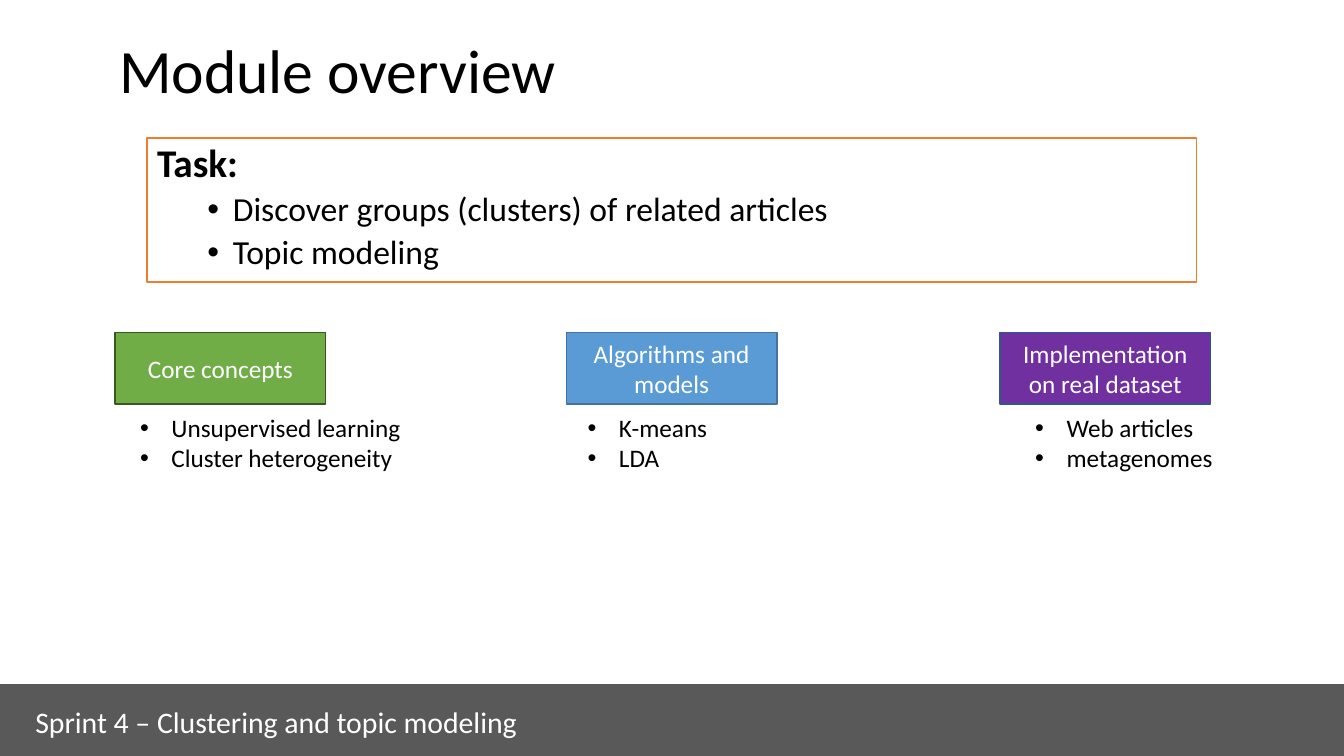
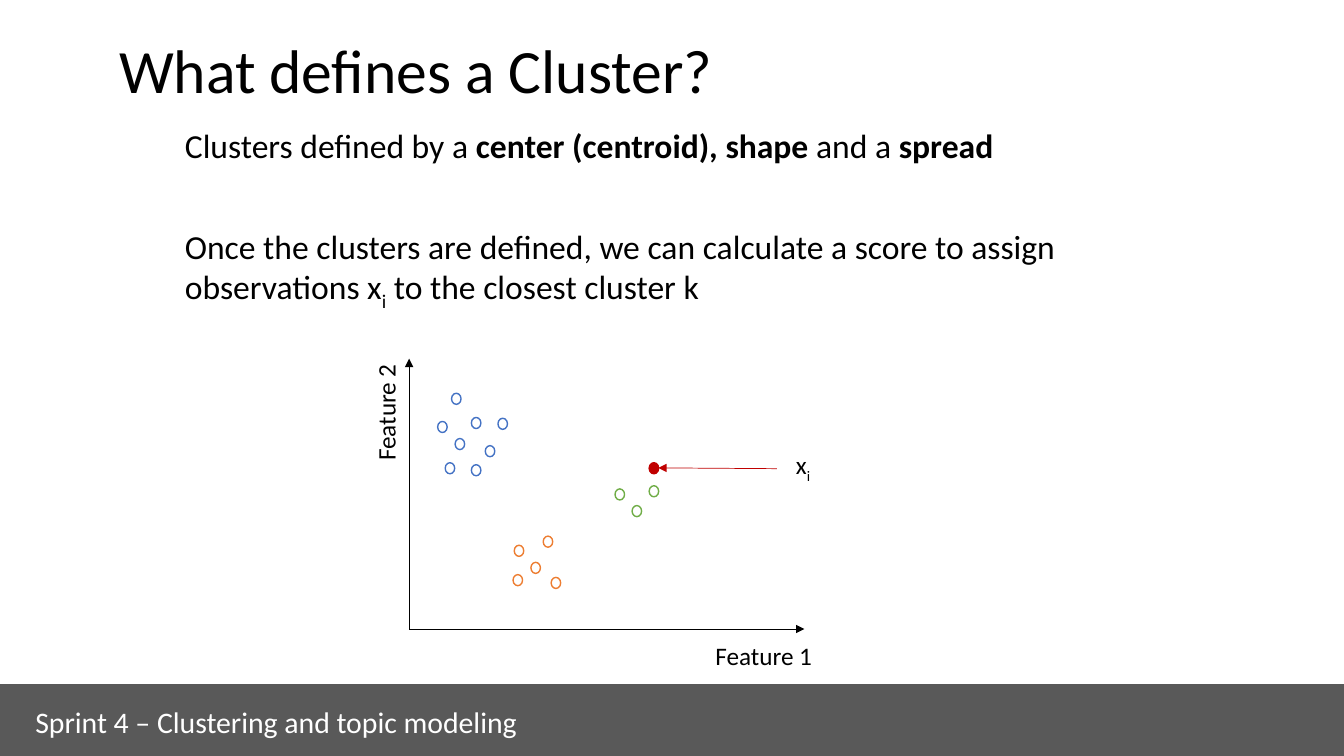
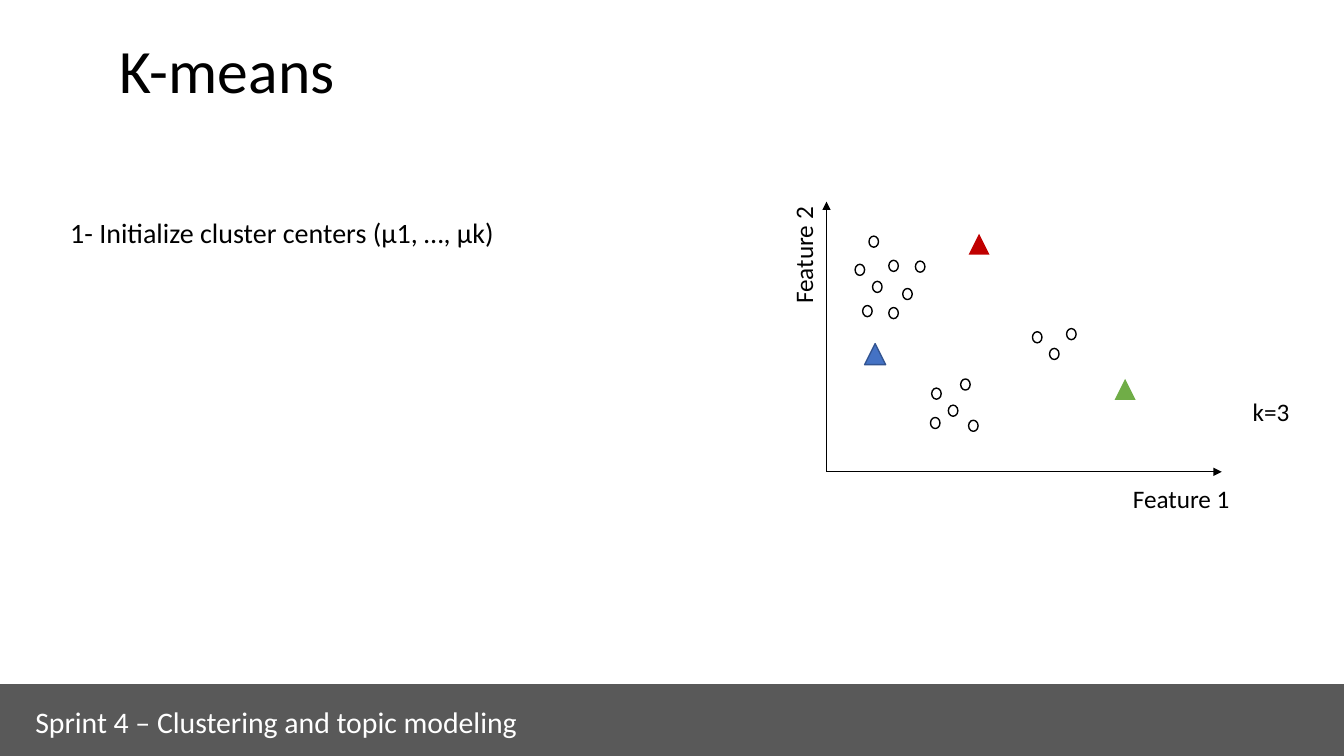
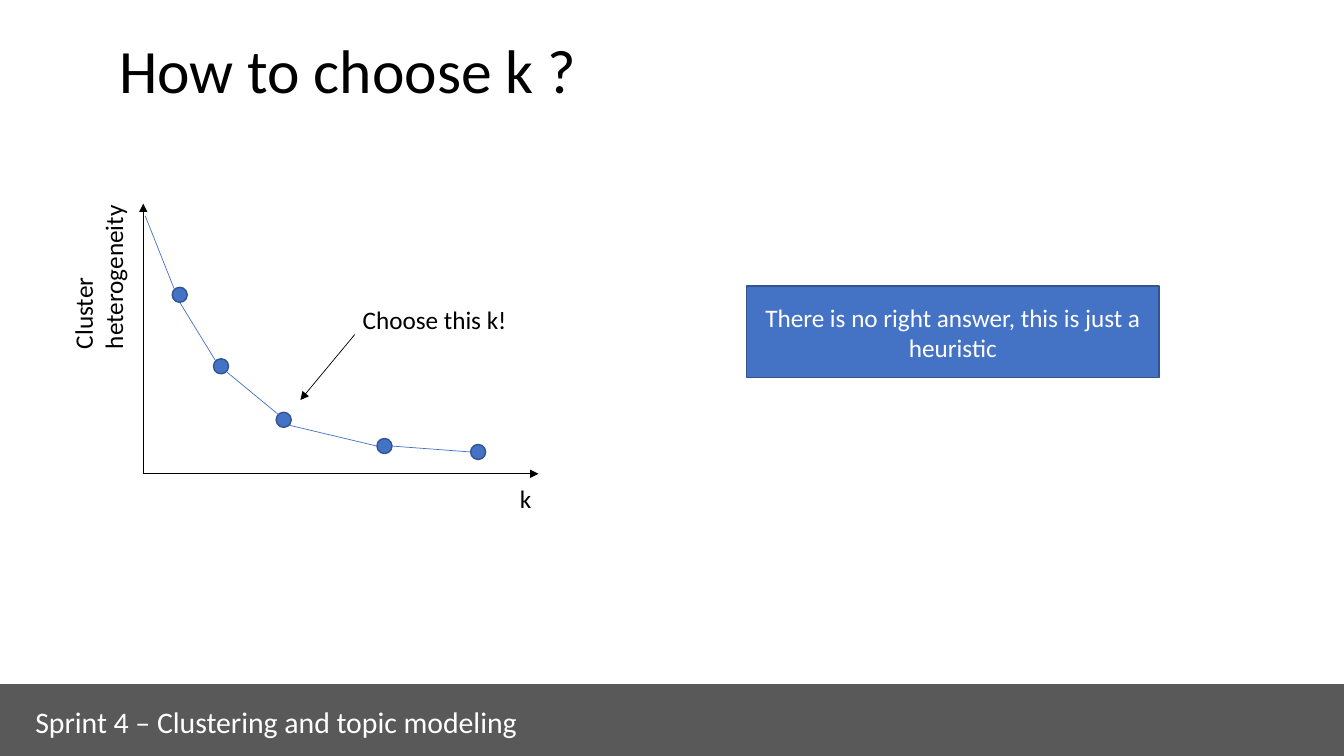
from pptx import Presentation
from pptx.dml.color import RGBColor
from pptx.enum.shapes import MSO_CONNECTOR, MSO_SHAPE
from pptx.enum.text import MSO_ANCHOR, PP_ALIGN
from pptx.oxml.ns import qn
from pptx.util import Cm, Pt
from lxml.etree import SubElement

FONT = "Calibri"
COLORS = {
    "black": "000000", "white": "FFFFFF", "gray": "595959", "blue": "4472C4",
    "navy": "325491", "orange": "ED7D31", "green": "70AD47", "moss": "385723",
    "sky": "5B9BD5", "steel": "43739E", "purple": "7030A0", "red": "C00000",
}
FOOTER = "Sprint 4 – Clustering and topic modeling"

TASK = [
    {"spans": "Task:", "size": 28, "bold": True},
    {"spans": "Discover groups (clusters) of related articles", "bullet": (1.91, 0.64), "before": 5},
    {"spans": "Topic modeling", "bullet": (1.91, 0.64), "before": 5},
]
TOPICS = [
    ("Core concepts", 2.9, "green", "moss", ["Unsupervised learning", "Cluster heterogeneity"]),
    ("Algorithms and models", 14.27, "sky", "steel", ["K-means", "LDA"]),
    ("Implementation on real dataset", 25.2, "purple", "navy", ["Web articles", "metagenomes"]),
]
DEFINITION = [
    [("Clusters defined by a ", ""), ("center (centroid), shape", "bold"),
     (" and a ", ""), ("spread", "bold")],
    {"spans": [("Once the clusters are defined, we can calculate a score to assign observations x", ""),
               ("i", "sub"), (" to the closest cluster k", "")], "before": 46},
]
CLUSTERS = {
    "blue": [(0.72, 5.23), (1.16, 4.8), (1.57, 5.33), (0.91, 4.19),
             (1.92, 4.62), (1.07, 5.94), (1.57, 4.14), (2.24, 5.31)],
    "orange": [(2.65, 2.11), (3.07, 1.68), (3.38, 2.34), (2.62, 1.37), (3.58, 1.3)],
    "green": [(5.19, 3.53), (5.62, 3.11), (6.05, 3.61)],
}
CENTERS = [(24.41, 5.89, "red", None), (21.79, 8.66, "blue", "navy"), (28.09, 9.55, "green", None)]
CURVE_START = (3.66, 5.44)
CURVE = [(4.34, 7.24), (5.38, 9.04), (6.96, 10.39), (9.5, 11.05), (11.86, 11.2)]
CURVE_SIZE = 0.38
SITES = {"top left": (0.15, 0.15), "bottom": (0.5, 1), "bottom right": (0.85, 0.85),
         "left": (0, 0.5), "right": (1, 0.5)}
ENTRIES = ["top left", "top left", "top left", "left", "left"]
EXITS = ["bottom", "bottom right", "bottom right", "right"]

AXIS_HEIGHT, AXIS_WIDTH = 6.81, 9.96
DOT_WIDTH, DOT_HEIGHT = 0.24, 0.28


def rgb(name):
    return RGBColor.from_string(COLORS[name])


def add_figure(page, kind, at, fill=None, line=None):
    figure = page.shapes.add_shape(kind, *map(Cm, at))
    figure.shadow.inherit = False
    if fill:
        figure.fill.solid()
        figure.fill.fore_color.rgb = rgb(fill)
    else:
        figure.fill.background()
    if line:
        figure.line.color.rgb = rgb(line)
        figure.line.width = Pt(1)
    else:
        figure.line.fill.background()
    return figure


def set_bullet(para, margin, hanging):
    properties = para._p.get_or_add_pPr()
    properties.set("marL", str(Cm(margin)))
    properties.set("indent", str(-Cm(hanging)))
    SubElement(properties, qn("a:buFont")).set("typeface", "Arial")
    SubElement(properties, qn("a:buChar")).set("char", "•")


def add_text(page, content, at, fill=None, line=None, anchor=MSO_ANCHOR.TOP,
             inset=0.13, turn=0, **style):
    if fill or line:
        box = add_figure(page, MSO_SHAPE.RECTANGLE, at, fill, line)
    else:
        box = page.shapes.add_textbox(*map(Cm, at))
    box.rotation = turn
    frame = box.text_frame
    frame.word_wrap = True
    frame.vertical_anchor = anchor
    frame.margin_top = Cm(inset)
    base = {"size": 18, "color": "black", "bold": False, "align": PP_ALIGN.LEFT,
            "spacing": 1.0, "before": 0, "bullet": None} | style
    for index, item in enumerate([content] if isinstance(content, str) else content):
        look = base | (item if isinstance(item, dict) else {"spans": item})
        para = frame.add_paragraph() if index else frame.paragraphs[0]
        para.alignment = look["align"]
        para.line_spacing = look["spacing"]
        para.space_before = Pt(look["before"] if index else 0)
        if look["bullet"]:
            set_bullet(para, *look["bullet"])
        spans = look["spans"]
        for words, mark in [(spans, "")] if isinstance(spans, str) else spans:
            span = para.add_run()
            span.text = words
            span.font.name = FONT
            span.font.size = Pt(look["size"])
            span.font.bold = look["bold"] or mark == "bold"
            span.font.color.rgb = rgb(look["color"])
            if mark == "sub":
                span._r.get_or_add_rPr().set("baseline", "-25000")
    return box


def add_line(page, start, end, color="black", arrow=True):
    line = page.shapes.add_connector(MSO_CONNECTOR.STRAIGHT, *map(Cm, (*start, *end)))
    line.line.color.rgb = rgb(color)
    line.line.width = Pt(0.5)
    if arrow:
        SubElement(line.line._get_or_add_ln(), qn("a:tailEnd")).set("type", "triangle")
    SubElement(line._element.spPr, qn("a:effectLst"))


def add_page(deck, title):
    page = deck.slides.add_slide(deck.slide_layouts[6])
    add_text(page, title, (2.75, 0, 29.21, 3.68), size=44, spacing=0.9, anchor=MSO_ANCHOR.MIDDLE)
    add_figure(page, MSO_SHAPE.RECTANGLE, (-0.04, 17.26, 33.91, 1.78), "gray", "gray")
    add_text(page, FOOTER, (0.64, 17.6, 13.54, 1.17), size=21.3, color="white")
    return page


def add_label_box(page, words, at, fill, line):
    add_text(page, words, at, fill, line, color="white",
             align=PP_ALIGN.CENTER, anchor=MSO_ANCHOR.MIDDLE)


def add_axes(page, left, bottom):
    add_line(page, (left, bottom), (left, bottom - AXIS_HEIGHT))
    add_line(page, (left, bottom), (left + AXIS_WIDTH, bottom))


def add_dot(page, left, top, fill, line):
    add_figure(page, MSO_SHAPE.OVAL, (left, top, DOT_WIDTH, DOT_HEIGHT), fill, line)


def add_scatter(page, left, bottom, colored):
    add_axes(page, left, bottom)
    for color, dots in CLUSTERS.items():
        for across, up in dots:
            add_dot(page, left + across, bottom - up,
                    "white" if colored else None, color if colored else "black")
    add_text(page, "Feature 1", (left + 7.47, bottom + 0.15, 3.35, 1.02))
    add_text(page, "Feature 2", (left - 2.27, bottom - 6.17, 3.35, 1.02), turn=270)


def build_overview(deck):
    page = add_page(deck, "Module overview")
    add_text(page, TASK, (3.71, 3.48, 26.44, 3.63), "white", "orange",
             size=24, spacing=0.9)
    for index, (name, left, fill, line, points) in enumerate(TOPICS):
        add_label_box(page, name, (left, 8.38, 5.31, 1.8), fill, line)
        add_text(page, points, (3.28 + 11.28 * index, 10.26, 8.04, 1.8), bullet=(0.79, 0.79))


def build_definition(deck):
    page = add_page(deck, "What defines a Cluster?")
    add_text(page, DEFINITION, (4.41, 3.14, 26.44, 5.28), size=24, spacing=0.9)
    add_scatter(page, 10.31, 15.85, colored=True)
    add_dot(page, 16.36, 11.66, "red", "red")
    add_line(page, (19.58, 11.81), (16.59, 11.79), "red")
    add_text(page, [[("x", ""), ("i", "sub")]], (19.81, 11.2, 1.73, 1.02))


def build_kmeans(deck):
    page = add_page(deck, "K-means")
    add_text(page, "1- Initialize cluster centers (μ1, …, μk)", (1.52, 3.86, 16.76, 9.75),
             size=20, spacing=0.9, inset=1.66)
    add_scatter(page, 20.83, 11.89, colored=False)
    for left, top, fill, line in CENTERS:
        add_figure(page, MSO_SHAPE.ISOSCELES_TRIANGLE, (left, top, 0.53, 0.53), fill, line)
    add_text(page, "k=3", (31.32, 9.86, 2.03, 1.02))


def curve_site(dot, name):
    return tuple(corner + share * CURVE_SIZE for corner, share in zip(dot, SITES[name]))


def build_choice(deck):
    page = add_page(deck, "How to choose k ?")
    add_axes(page, 3.61, 11.94)
    add_text(page, "k", (12.85, 12.04, 0.84, 1.02))
    add_text(page, "Cluster heterogeneity", (-0.13, 5.54, 5.21, 1.8), turn=270)
    for dot in CURVE:
        add_figure(page, MSO_SHAPE.OVAL, (*dot, CURVE_SIZE, CURVE_SIZE), "blue", "navy")
    starts = [CURVE_START] + [curve_site(dot, name) for dot, name in zip(CURVE, EXITS)]
    for start, dot, name in zip(starts, CURVE, ENTRIES):
        add_line(page, start, curve_site(dot, name), "blue", arrow=False)
    add_line(page, (8.94, 8.43), (7.57, 10.08))
    add_text(page, "Choose this k!", (8.89, 7.54, 4.65, 1.02))
    add_label_box(page, "There is no right answer, this is just a heuristic",
                  (18.82, 7.21, 10.39, 2.31), "blue", "navy")


def main():
    deck = Presentation()
    deck.slide_width, deck.slide_height = Cm(33.87), Cm(19.05)
    for build in (build_overview, build_definition, build_kmeans, build_choice):
        build(deck)
    deck.save("out.pptx")


if __name__ == "__main__":
    main()
